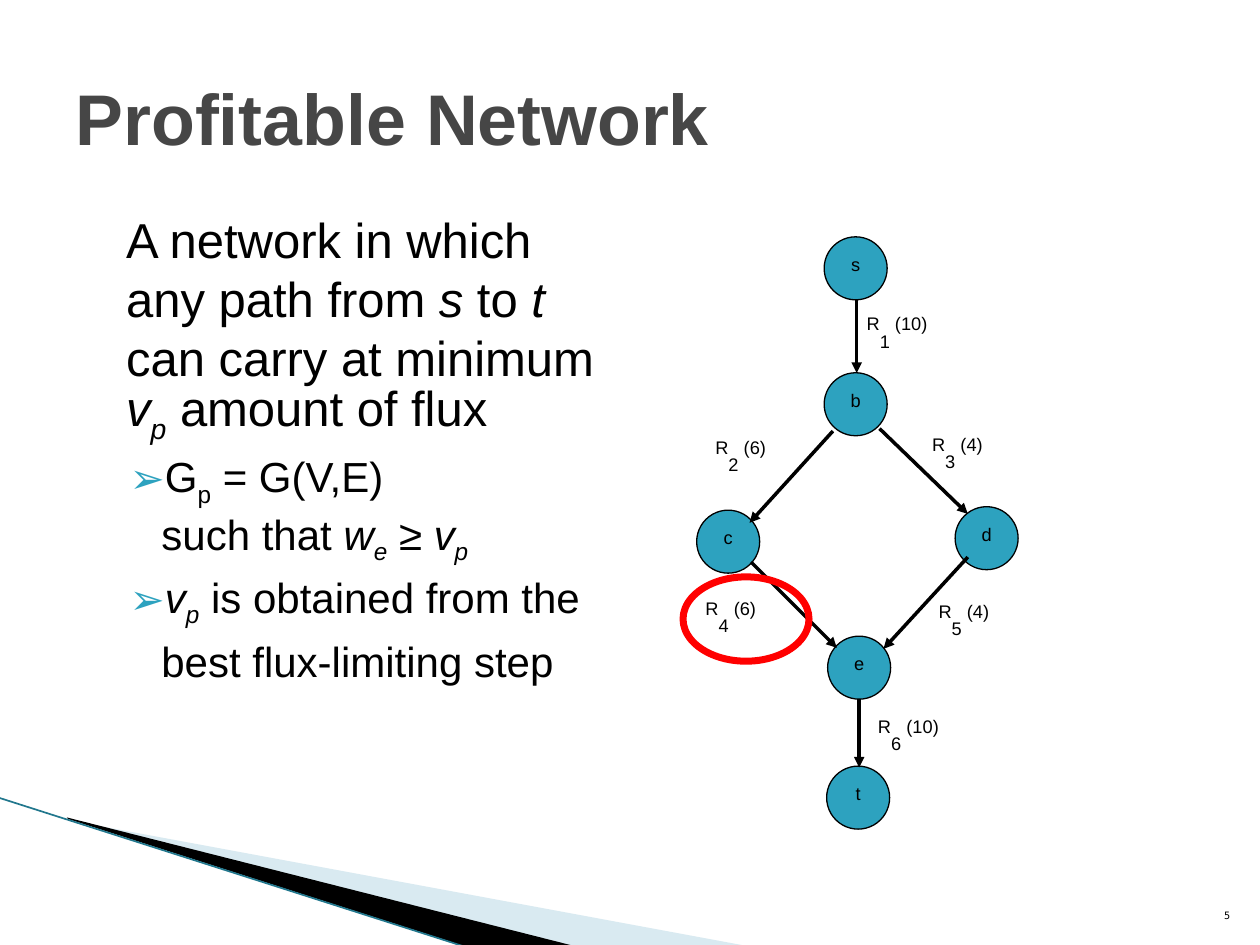
from lxml import etree
from pptx import Presentation
from pptx.dml.color import RGBColor
from pptx.enum.shapes import MSO_CONNECTOR as Connector, MSO_SHAPE as Shape
from pptx.enum.text import MSO_ANCHOR as Anchor, MSO_AUTO_SIZE as AutoSize, PP_ALIGN as Align
from pptx.oxml.ns import qn
from pptx.util import Cm, Pt

# Content: runs are (text, style), with i = italic, _ = subscript, ^ = raised
TITLE = "Profitable Network"
BODY = [
    (0, [("A network in which any path from ", ""), ("s", "i"), (" to ", ""), ("t", "i"),
         (" can carry at minimum ", ""), ("v", "i"), ("p", "i_"), (" amount of flux", "")]),
    (1, [("G", ""), ("p", "_"), (" = G(V,E)", ""), ("\n", ""), ("such that ", ""),
         ("w", "i"), ("e", "i_"), (" ≥ ", ""), ("v", "i"), ("p", "i_")]),
    (1, [("v", "i"), ("p", "i_"), (" is obtained from the best flux-limiting step", "")]),
]
# Size, line pitch, space before (pt); left margin, first-line indent (cm)
LEVELS = [(28, 33.5, 4, 1.02, 0), (24, 32.9, 3.2, 1.73, -0.64)]

# Network in cm: node centres; reactions as flux, from, to, label corner
NODE_SIZE = 1.27
NODES = {"s": (17.25, 5.41), "b": (17.25, 8.15), "c": (14.68, 10.92),
         "d": (19.89, 10.85), "e": (17.32, 13.46), "t": (17.3, 16.08)}
REACTIONS = [
    (10, (17.27, 6.05), (17.27, 7.52), (17.22, 6.1)),
    (6, (16.79, 8.69), (15.11, 10.54), (14.17, 8.59)),
    (4, (17.73, 8.64), (19.51, 10.36), (18.54, 8.53)),
    (6, (15.14, 11.33), (16.87, 13.06), (13.97, 11.84)),
    (4, (19.51, 11.23), (17.81, 13.08), (18.67, 11.89)),
    (10, (17.32, 14.1), (17.32, 15.47), (17.45, 14.22)),
]
LIMITING_STEP = (13.77, 11.63, 2.54, 1.7)

# Corner decoration: fill, opacity in percent, corners
WEDGES = [
    ("A0CBDC", 40, [(1.4, 16.54), (15.11, 19.08), (11.58, 19.08), (1.4, 16.51)]),
    ("000000", 100, [(1.35, 16.48), (11.61, 19.08), (9.45, 19.1), (1.37, 16.51)]),
]
BASELINES = {"_": "-25000", "^": "30000"}


def cm(*lengths):
    return [Cm(length) for length in lengths]


def paint(colour_format, colour):
    colour_format.rgb = RGBColor.from_string(colour)


def fill(part, colour):
    part.fill.solid()
    paint(part.fill.fore_color, colour)


def outline(part, colour, width):
    paint(part.line.color, colour)
    part.line.width = Pt(width)


def add_runs(paragraph, runs, size, colour="000000", font="Arial", bold=False):
    for text, style in runs:
        if text == "\n":
            paragraph.add_line_break()
            continue
        run = paragraph.add_run()
        run.text = text
        run.font.size, run.font.name = Pt(size), font
        run.font.bold, run.font.italic = bold, "i" in style
        paint(run.font.color, colour)
        for mark in BASELINES.keys() & set(style):
            run.font._element.set("baseline", BASELINES[mark])


def add_bullet(paragraph, symbol, colour):
    props = paragraph._p.get_or_add_pPr()
    tint = etree.SubElement(props, qn("a:buClr"))
    etree.SubElement(tint, qn("a:srgbClr"), val=colour)
    etree.SubElement(props, qn("a:buChar"), char=symbol)


def add_line(start, end, colour, width, arrow=False):
    line = slide.shapes.add_connector(Connector.STRAIGHT, *cm(*start, *end))
    outline(line, colour, width)
    if arrow:
        etree.SubElement(line.line._get_or_add_ln(), qn("a:tailEnd"), type="triangle")
    etree.SubElement(line._element.spPr, qn("a:effectLst"))


def add_ellipse(left, top, width, height):
    ellipse = slide.shapes.add_shape(Shape.OVAL, *cm(left, top, width, height))
    ellipse.shadow.inherit = False
    return ellipse


deck = Presentation()
deck.slide_width, deck.slide_height = cm(25.4, 19.05)
slide = deck.slides.add_slide(deck.slide_layouts[1])

# Corner decoration
for colour, opacity, corners in WEDGES:
    first, *others = [cm(*corner) for corner in corners]
    builder = slide.shapes.build_freeform(*first, scale=1.0)
    builder.add_line_segments(others, close=True)
    wedge = builder.convert_to_shape()
    wedge.shadow.inherit = False
    wedge.line.fill.background()
    fill(wedge, colour)
    if opacity < 100:
        tint = wedge._element.spPr.find(".//" + qn("a:srgbClr"))
        etree.SubElement(tint, qn("a:alpha"), val=str(opacity * 1000))
add_line((-0.03, 16.08), (9.42, 19.1), "21778D", 0.95)

# Title
title = slide.shapes.title
title.left, title.top, title.width, title.height = cm(1.27, 0.76, 22.86, 3.18)
title.text_frame.vertical_anchor = Anchor.MIDDLE
heading = title.text_frame.paragraphs[0]
heading.alignment = Align.LEFT
add_runs(heading, [(TITLE, "")], 41, "464646", bold=True)

# Definition
body = slide.placeholders[1]
body.left, body.top, body.width, body.height = cm(1.27, 4.11, 11.23, 12.57)
body.text_frame.auto_size = AutoSize.NONE
for index, (level, runs) in enumerate(BODY):
    point = body.text_frame.add_paragraph() if index else body.text_frame.paragraphs[0]
    size, pitch, before, margin, indent = LEVELS[level]
    point.level = level
    point.line_spacing, point.space_before = Pt(pitch), Pt(before)
    props = point._p.get_or_add_pPr()
    props.set("marL", str(Cm(margin)))
    props.set("indent", str(Cm(indent)))
    if level:
        add_bullet(point, "➢", "2DA2BF")
    else:
        etree.SubElement(props, qn("a:buNone"))
    add_runs(point, runs, size)

# Network nodes
for name, (x, y) in NODES.items():
    node = add_ellipse(x - NODE_SIZE / 2, y - NODE_SIZE / 2, NODE_SIZE, NODE_SIZE)
    fill(node, "2DA2BF")
    outline(node, "000000", 0.75)
    node.text_frame.word_wrap = False
    node.text_frame.vertical_anchor = Anchor.MIDDLE
    node.text_frame.paragraphs[0].alignment = Align.CENTER
    add_runs(node.text_frame.paragraphs[0], [(name, "^")], 18)

# Reactions with their flux
for number, (flux, start, end, corner) in enumerate(REACTIONS, 1):
    add_line(start, end, "000000", 2, arrow=True)
    label = slide.shapes.add_textbox(*cm(*corner, 2.46 if flux >= 10 else 2.11, 1.02))
    label.text_frame.word_wrap = False
    label.text_frame.auto_size = AutoSize.SHAPE_TO_FIT_TEXT
    add_runs(label.text_frame.paragraphs[0],
             [("R", "^"), (f"{number} ", "_"), (f"({flux})", "^")], 18)

# Ring around the limiting step
ring = add_ellipse(*LIMITING_STEP)
ring.fill.background()
outline(ring, "FF0000", 4)

# Slide number
page = slide.shapes.add_textbox(*cm(24.03, 17.81, 1.02, 1.02))
page.text_frame.word_wrap = True
page.text_frame.vertical_anchor = Anchor.BOTTOM
page.text_frame.paragraphs[0].alignment = Align.RIGHT
add_runs(page.text_frame.paragraphs[0], [("5", "^")], 10, font="DejaVu Sans Mono")

deck.save("out.pptx")
